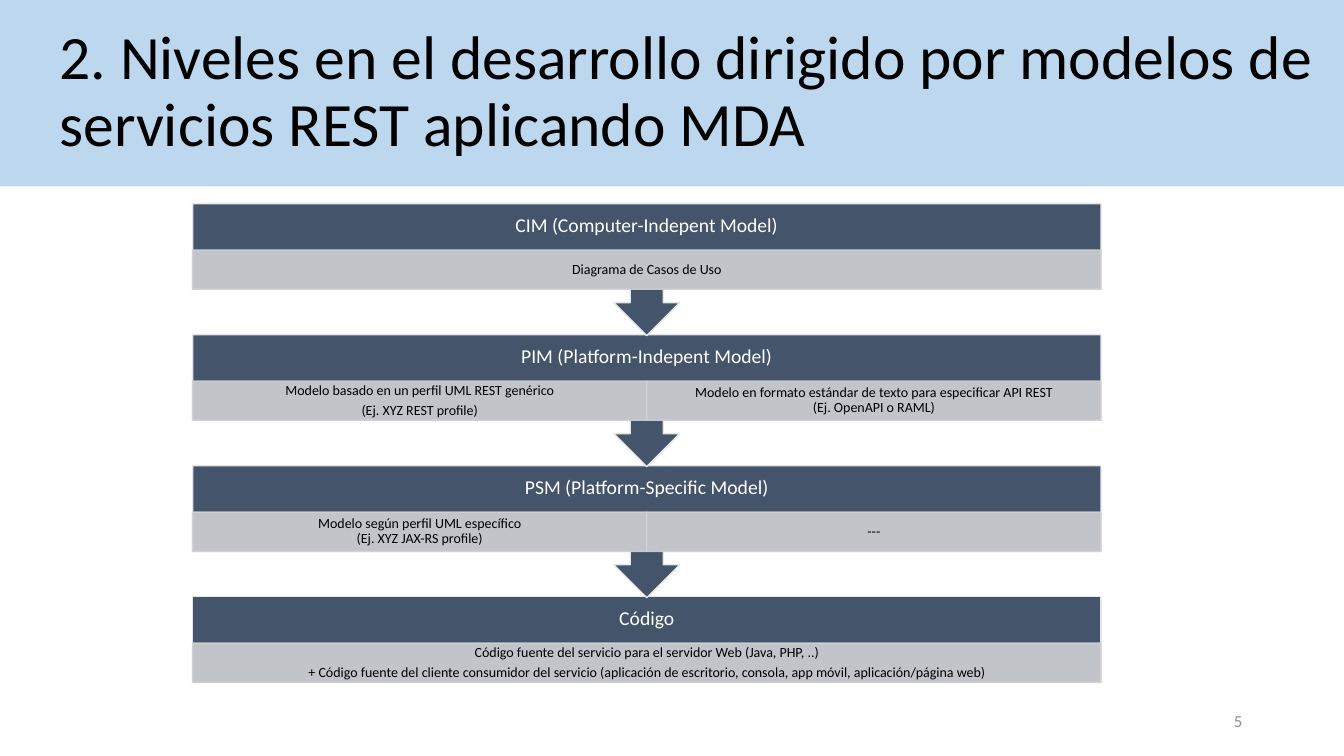
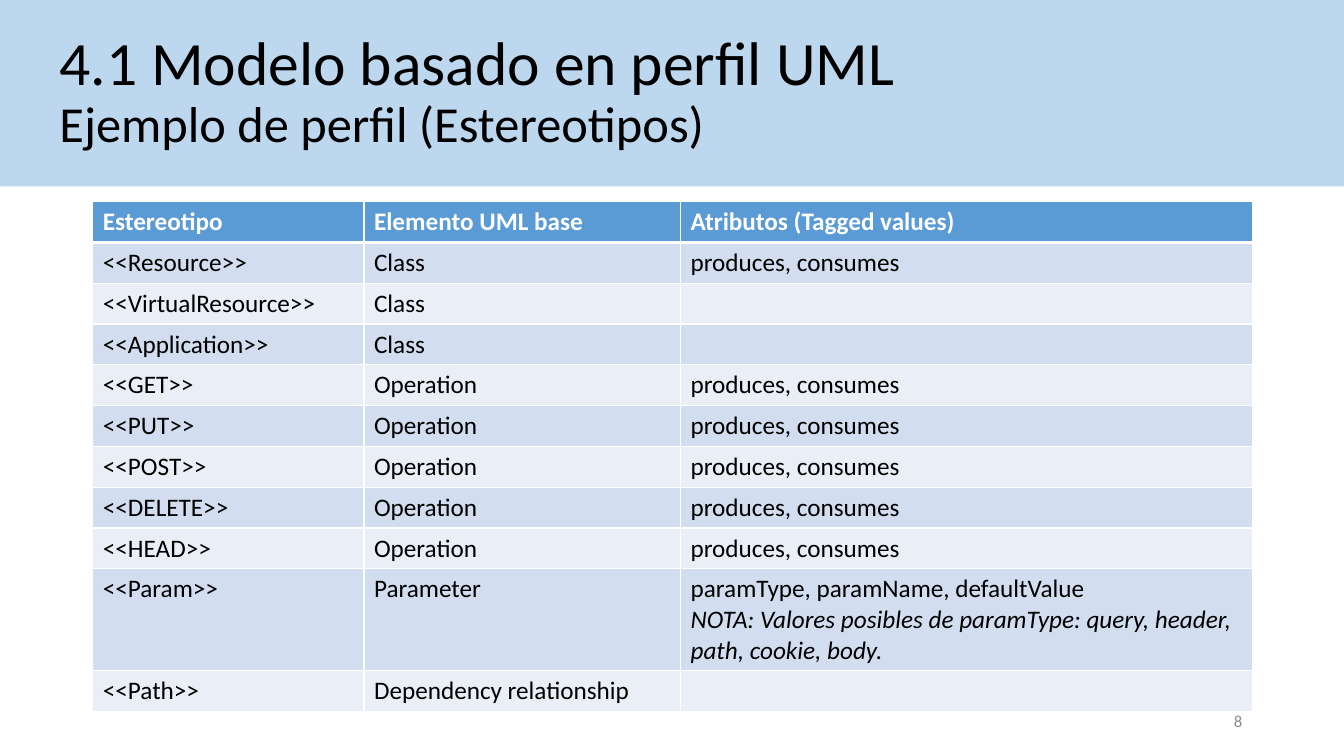
from lxml.etree import SubElement
from pptx import Presentation
from pptx.dml.color import RGBColor
from pptx.enum.shapes import MSO_SHAPE as Shape
from pptx.enum.text import MSO_ANCHOR as Anchor, PP_ALIGN as Align
from pptx.oxml.ns import qn
from pptx.util import Inches, Pt

BLACK = RGBColor(0x00, 0x00, 0x00)
WHITE = RGBColor(0xFF, 0xFF, 0xFF)
GREY = RGBColor(0x8C, 0x8C, 0x8C)
BAND_BLUE = RGBColor(0xBD, 0xD7, 0xEE)
SLATE = RGBColor(0x44, 0x54, 0x6A)
LIGHT_LINE = RGBColor(0xE7, 0xE6, 0xE6)
SILVER = RGBColor(0xCF, 0xD1, 0xD4)
HEADER_BLUE = RGBColor(0x5B, 0x9B, 0xD5)
ROW_BLUES = (RGBColor(0xEA, 0xEF, 0xF7), RGBColor(0xD2, 0xDE, 0xEF))

SLIDE_WIDTH, SLIDE_HEIGHT = 13.33, 7.5
BAND_HEIGHT = 1.85

LEVEL_LEFT, LEVEL_TOP, LEVEL_WIDTH = 1.91, 2.02, 9.01
LEVEL_STEP, CALLOUT_HEIGHT = 1.3, 1.31
HEADING_HEIGHT, DETAIL_HEIGHT = 0.46, 0.39

TABLE_LEFT, TABLE_TOP, TABLE_HEIGHT = 0.92, 2, 5.06
COLUMN_WIDTHS = (2.69, 3.14, 5.67)
NOTE_ROW_HEIGHT = 1.01

LEVELS = [
    ("CIM (Computer-Indepent Model)", [(["Diagrama de Casos de Uso"], 0)]),
    ("PIM (Platform-Indepent Model)", [
        (["Modelo basado en un perfil UML REST genérico", "(Ej. XYZ REST profile)"], 3.5),
        (["Modelo en formato estándar de texto para especificar API REST",
          "(Ej. OpenAPI o RAML)"], 0),
    ]),
    ("PSM (Platform-Specific Model)", [
        (["Modelo según perfil UML específico", "(Ej. XYZ JAX-RS profile)"], 0),
        (["---"], 0),
    ]),
    ("Código", [
        (["Código fuente del servicio para el servidor Web (Java, PHP, ..)",
          "+ Código fuente del cliente consumidor del servicio (aplicación de escritorio, "
          "consola, app móvil, aplicación/página web)"], 3.5),
    ]),
]

MEDIA = "produces, consumes"
STEREOTYPES = [
    ("Estereotipo", "Elemento UML base", "Atributos (Tagged values)"),
    ("<<Resource>>", "Class", MEDIA),
    ("<<VirtualResource>>", "Class", ""),
    ("<<Application>>", "Class", ""),
    *((f"<<{verb}>>", "Operation", MEDIA) for verb in ("GET", "PUT", "POST", "DELETE", "HEAD")),
    ("<<Param>>", "Parameter",
     "paramType, paramName, defaultValue\n"
     "NOTA: Valores posibles de paramType: query, header, path, cookie, body."),
    ("<<Path>>", "Dependency relationship", ""),
]


class Deck:
    font_name = "Calibri"

    def __init__(self):
        self.presentation = Presentation()
        self.presentation.slide_width = Inches(SLIDE_WIDTH)
        self.presentation.slide_height = Inches(SLIDE_HEIGHT)
        self.slide = None

    def new_slide(self, title_lines, number):
        self.slide = self.presentation.slides.add_slide(self.presentation.slide_layouts[6])
        band = self.box(0, 0, SLIDE_WIDTH, BAND_HEIGHT, BAND_BLUE)
        self.frame(band.text_frame, margin_left=Inches(0.59))
        for index, (text, size) in enumerate(title_lines):
            self.line(band.text_frame, index, text, size, BLACK, line_spacing=0.9)
        footer = self.slide.shapes.add_textbox(Inches(9.42), Inches(6.95), Inches(3), Inches(0.4))
        self.frame(footer.text_frame)
        self.line(footer.text_frame, 0, str(number), 12, GREY, alignment=Align.RIGHT)

    def frame(self, text_frame, **values):
        settings = {"word_wrap": True, "vertical_anchor": Anchor.MIDDLE, **values}
        for name, value in settings.items():
            setattr(text_frame, name, value)

    def line(self, text_frame, index, text, size, color, bold=False, italic=False, **layout):
        paragraph = text_frame.add_paragraph() if index else text_frame.paragraphs[0]
        for name, value in {"alignment": Align.LEFT, **layout}.items():
            setattr(paragraph, name, value)
        run = paragraph.add_run()
        run.text = text
        formats = {"name": self.font_name, "size": Pt(size), "bold": bold, "italic": italic}
        for name, value in formats.items():
            setattr(run.font, name, value)
        run.font.color.rgb = color

    def box(self, left, top, width, height, fill, outline=None, kind=Shape.RECTANGLE, opacity=100):
        shape = self.slide.shapes.add_shape(
            kind, Inches(left), Inches(top), Inches(width), Inches(height))
        shape.shadow.inherit = False
        shape.fill.solid()
        shape.fill.fore_color.rgb = fill
        if outline is None:
            shape.line.fill.background()
        else:
            shape.line.color.rgb = outline
            shape.line.width = Pt(1)
        if opacity < 100:
            for color in shape._element.spPr.iter(qn("a:srgbClr")):
                SubElement(color, qn("a:alpha"), val=str(opacity * 1000))
        return shape

    def level(self, top, heading, details, is_last):
        kind, height = Shape.DOWN_ARROW_CALLOUT, CALLOUT_HEIGHT
        if is_last:
            kind, height = Shape.RECTANGLE, HEADING_HEIGHT + DETAIL_HEIGHT
        block = self.box(LEVEL_LEFT, top, LEVEL_WIDTH, height, SLATE, LIGHT_LINE, kind)
        self.frame(block.text_frame, vertical_anchor=Anchor.TOP, margin_top=Inches(0.12))
        self.line(block.text_frame, 0, heading, 14, WHITE, alignment=Align.CENTER, line_spacing=0.9)
        width = LEVEL_WIDTH / len(details)
        for column, (lines, gap) in enumerate(details):
            self.detail(LEVEL_LEFT + column * width, top + HEADING_HEIGHT, width, lines, gap)

    def detail(self, left, top, width, lines, gap):
        shape = self.box(left, top, width, DETAIL_HEIGHT, SILVER, SILVER, opacity=90)
        self.frame(shape.text_frame, margin_top=Inches(0.01), margin_bottom=Inches(0.01))
        for index, text in enumerate(lines):
            self.line(shape.text_frame, index, text, 10, BLACK, alignment=Align.CENTER,
                      line_spacing=0.9, space_before=Pt(gap if index else 0))

    def table(self, rows):
        table = self.slide.shapes.add_table(
            len(rows), len(COLUMN_WIDTHS), Inches(TABLE_LEFT), Inches(TABLE_TOP),
            Inches(sum(COLUMN_WIDTHS)), Inches(TABLE_HEIGHT)).table
        table.first_row = table.horz_banding = False
        for column, width in zip(table.columns, COLUMN_WIDTHS):
            column.width = Inches(width)
        row_height = (TABLE_HEIGHT - NOTE_ROW_HEIGHT) / (len(rows) - 1)
        for row_index, texts in enumerate(rows):
            has_note = any("\n" in text for text in texts)
            table.rows[row_index].height = Inches(NOTE_ROW_HEIGHT if has_note else row_height)
            for column_index, text in enumerate(texts):
                self.cell(table.cell(row_index, column_index), row_index, text)

    def cell(self, cell, row_index, text):
        is_header = row_index == 0
        borders = {"L": 1, "R": 1, "T": 3 if row_index == 1 else 1, "B": 3 if is_header else 1}
        properties = cell._tc.get_or_add_tcPr()
        for side, width in borders.items():
            border = SubElement(properties, qn(f"a:ln{side}"), w=str(Pt(width)))
            SubElement(SubElement(border, qn("a:solidFill")), qn("a:srgbClr"), val=str(WHITE))
        cell.fill.solid()
        cell.fill.fore_color.rgb = HEADER_BLUE if is_header else ROW_BLUES[row_index % 2]
        if text:
            for index, part in enumerate(text.split("\n")):
                self.line(cell.text_frame, index, part, 18, WHITE if is_header else BLACK,
                          bold=is_header, italic=index > 0)


def main():
    deck = Deck()
    deck.new_slide([("2. Niveles en el desarrollo dirigido por modelos de "
                     "servicios REST aplicando MDA", 44)], 5)
    for index, (heading, details) in reversed(list(enumerate(LEVELS))):
        deck.level(LEVEL_TOP + index * LEVEL_STEP, heading, details, index == len(LEVELS) - 1)

    deck.new_slide([("4.1 Modelo basado en perfil UML", 44),
                    ("Ejemplo de perfil (Estereotipos)", 36)], 8)
    deck.table(STEREOTYPES)
    deck.presentation.save("out.pptx")


if __name__ == "__main__":
    main()
